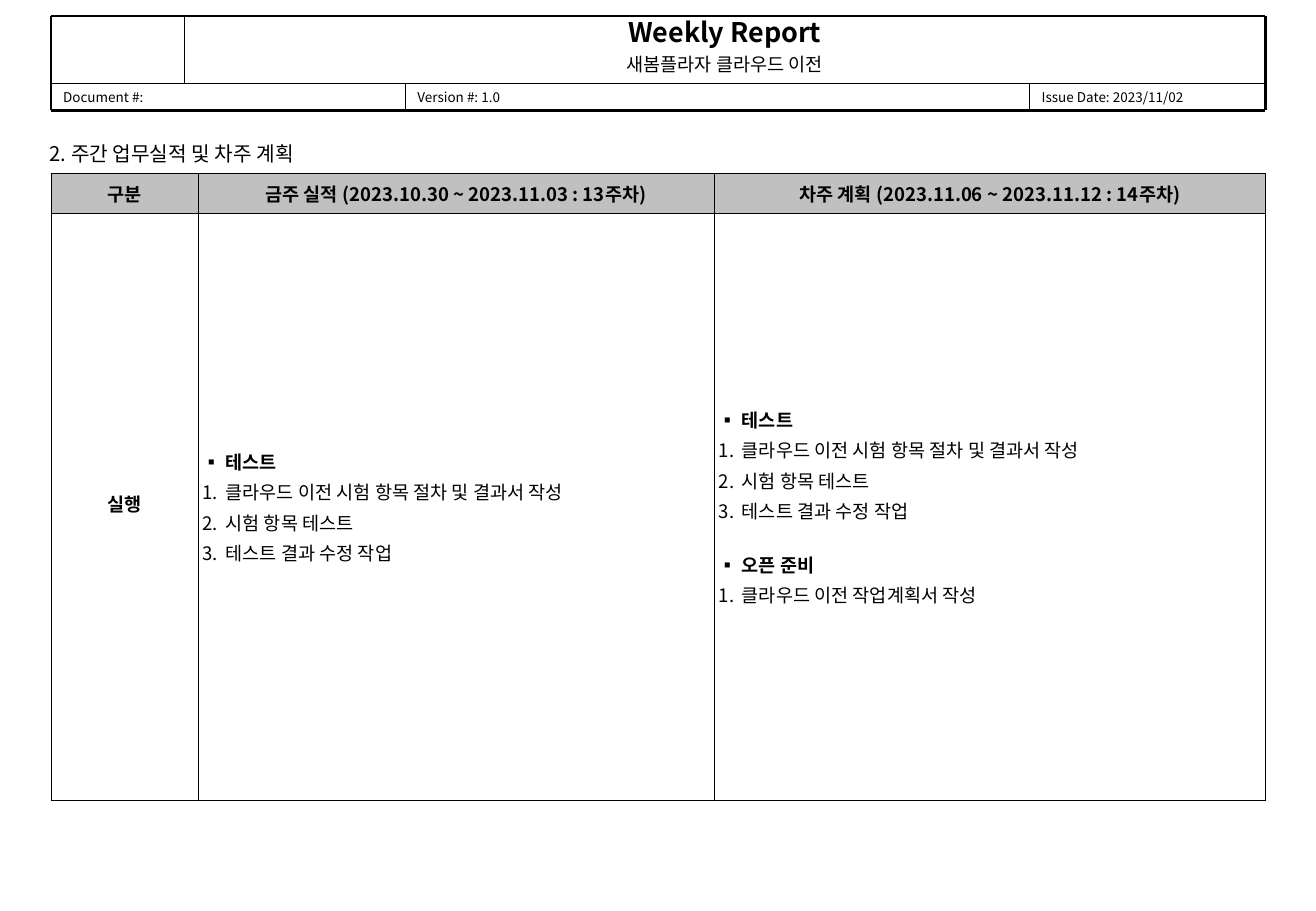
import dataclasses

import lxml.etree
import pptx
import pptx.dml.color
import pptx.enum.shapes
import pptx.enum.text
import pptx.oxml.ns
import pptx.util

Cm = pptx.util.Cm
Pt = pptx.util.Pt
Align = pptx.enum.text.PP_ALIGN
Anchor = pptx.enum.text.MSO_ANCHOR


@dataclasses.dataclass(frozen=True)
class Theme:
    font: str = "Noto Sans CJK KR"
    ink: str = "000000"
    band: str = "C0C0C0"
    title: float = 16
    head: float = 12
    body: float = 11
    small: float = 8
    thick: float = 1.5
    edge: float = 0.75
    grid: float = 0.45
    thin: float = 0.25


THEME = Theme()

LEFT, RIGHT = 1.07, 26.47
TOP, SPLIT, BASE = 0.33, 1.75, 2.31
LOGO = 3.86

FIELDS = [
    ("Document #:", LEFT),
    ("Version #: 1.0", 8.48),
    ("Issue Date: 2023/11/02", 21.54),
]

HEADS = [
    "구분",
    "금주 실적 (2023.10.30 ~ 2023.11.03 : 13주차)",
    "차주 계획 (2023.11.06 ~ 2023.11.12 : 14주차)",
]

TEST = ("테스트", [
    "클라우드 이전 시험 항목 절차 및 결과서 작성",
    "시험 항목 테스트",
    "테스트 결과 수정 작업",
])
OPEN = ("오픈 준비", ["클라우드 이전 작업계획서 작성"])


def style(item, form):
    for name, value in form.items():
        setattr(item, name, value)


def color(code):
    return pptx.dml.color.RGBColor.from_string(code)


def add_tag(node, tag, **attrs):
    return lxml.etree.SubElement(node, pptx.oxml.ns.qn(tag), attrs)


def write(para, text, size, bold=False, **form):
    style(para, form)
    run = para.add_run()
    run.text = text
    style(run.font, {"name": THEME.font, "size": Pt(size), "bold": bold})
    run.font.color.rgb = color(THEME.ink)
    add_tag(run.font._element, "a:ea", typeface=THEME.font)


def set_box(shape, left, top, width, height, pad=0.0, anchor=Anchor.TOP):
    style(shape, {"left": Cm(left), "top": Cm(top),
                  "width": Cm(width), "height": Cm(height)})
    style(shape.text_frame, {
        "word_wrap": True,
        "auto_size": pptx.enum.text.MSO_AUTO_SIZE.NONE,
        "vertical_anchor": anchor,
        "margin_left": Cm(0.25), "margin_right": Cm(0.25),
        "margin_top": Cm(pad), "margin_bottom": Cm(pad),
    })
    return shape.text_frame


def add_label(slide, text, size, *place, **form):
    shape = slide.shapes.add_textbox(0, 0, 0, 0)
    frame = set_box(shape, *place, **form)
    write(frame.paragraphs[0], text, size)


def add_rule(slide, start, end, width):
    kind = pptx.enum.shapes.MSO_CONNECTOR.STRAIGHT
    rule = slide.shapes.add_connector(kind, *map(Cm, start + end))
    rule.line.width = Pt(width)
    rule.line.color.rgb = color(THEME.ink)
    add_tag(rule._element.spPr, "a:effectLst")


def add_title(slide):
    frame = set_box(slide.shapes.title, LOGO, TOP, RIGHT - LOGO, SPLIT - TOP)
    write(frame.paragraphs[0], "Weekly Report", THEME.title, True,
          alignment=Align.CENTER)
    write(frame.add_paragraph(), "새봄플라자 클라우드 이전", THEME.body,
          alignment=Align.CENTER, space_before=Pt(2.8))


def add_header(slide):
    ends = [left for _, left in FIELDS[1:]] + [RIGHT]
    for (text, left), end in zip(FIELDS, ends):
        add_label(slide, text, THEME.small, left, SPLIT, end - left,
                  BASE - SPLIT, anchor=Anchor.MIDDLE)
    add_rule(slide, (LOGO, TOP), (LOGO, SPLIT), THEME.thin)
    for _, left in FIELDS[1:]:
        add_rule(slide, (left, SPLIT), (left, BASE), THEME.thin)
    add_rule(slide, (LEFT, SPLIT), (RIGHT, SPLIT), THEME.thin)
    for side in (LEFT, RIGHT):
        add_rule(slide, (side, TOP), (side, BASE), THEME.thick)
    for level in (TOP, BASE):
        add_rule(slide, (LEFT, level), (RIGHT, level), THEME.thick)


def set_mark(para, tag, **attrs):
    props = para._p.get_or_add_pPr()
    style_in = {"marL": Cm(0.48), "indent": -Cm(0.48)}
    for name, value in style_in.items():
        props.set(name, str(int(value)))
    tint = add_tag(props, "a:buClr")
    add_tag(tint, "a:srgbClr", val=THEME.ink)
    add_tag(props, "a:buFont", typeface=THEME.font)
    add_tag(props, tag, **attrs)


def fill_list(frame, groups):
    for order, (head, tasks) in enumerate(groups):
        para = frame.add_paragraph() if order else frame.paragraphs[0]
        set_mark(para, "a:buChar", char="▪")
        write(para, head, THEME.body, True, space_after=Pt(1),
              space_before=Pt(15 if order else 0))
        for task in tasks:
            para = frame.add_paragraph()
            set_mark(para, "a:buAutoNum", type="arabicPeriod")
            write(para, task, THEME.body, space_before=Pt(1),
                  space_after=Pt(1))


def set_edges(cell, row, col):
    outer = {"L": col == 0, "R": col == len(HEADS) - 1,
             "T": row == 0, "B": False}
    props = cell._tc.get_or_add_tcPr()
    for side, bold in outer.items():
        width = Pt(THEME.edge if bold else THEME.grid)
        line = add_tag(props, "a:ln" + side, w=str(int(width)))
        add_tag(add_tag(line, "a:solidFill"), "a:srgbClr", val=THEME.ink)


def set_cell(cell, row, col):
    side = Cm(0.1 if row and col else 0.05)
    style(cell, {"vertical_anchor": Anchor.MIDDLE,
                 "margin_left": side, "margin_right": side,
                 "margin_top": Cm(0.13), "margin_bottom": Cm(0.13)})
    set_edges(cell, row, col)
    if row:
        cell.fill.background()
    else:
        cell.fill.solid()
        cell.fill.fore_color.rgb = color(THEME.band)


def add_plan(slide):
    widths, heights = [3.07, 10.8, 11.53], [0.81, 12.29]
    frame = slide.shapes.add_table(
        len(heights), len(widths), Cm(LEFT), Cm(3.63),
        Cm(sum(widths)), Cm(sum(heights)))
    table = frame.table
    style(table, {"first_row": False, "horz_banding": False})
    for part, width in zip(table.columns, widths):
        part.width = Cm(width)
    for part, height in zip(table.rows, heights):
        part.height = Cm(height)
    for row in range(len(heights)):
        for col in range(len(widths)):
            set_cell(table.cell(row, col), row, col)
    for col, text in enumerate(HEADS):
        write(table.cell(0, col).text_frame.paragraphs[0], text,
              THEME.body, True, alignment=Align.CENTER)
    write(table.cell(1, 0).text_frame.paragraphs[0], "실행", THEME.body, True,
          alignment=Align.CENTER, line_spacing=Pt(12))
    for col, groups in enumerate([[TEST], [TEST, OPEN]], 1):
        fill_list(table.cell(1, col).text_frame, groups)


def main():
    deck = pptx.Presentation()
    style(deck, {"slide_width": Cm(27.53), "slide_height": Cm(19.05)})
    slide = deck.slides.add_slide(deck.slide_layouts[5])
    add_title(slide)
    add_header(slide)
    add_label(slide, "2. 주간 업무실적 및 차주 계획", THEME.head,
              0.79, 2.82, 7.8, 0.76, pad=0.13)
    add_plan(slide)
    deck.save("out.pptx")


if __name__ == "__main__":
    main()
